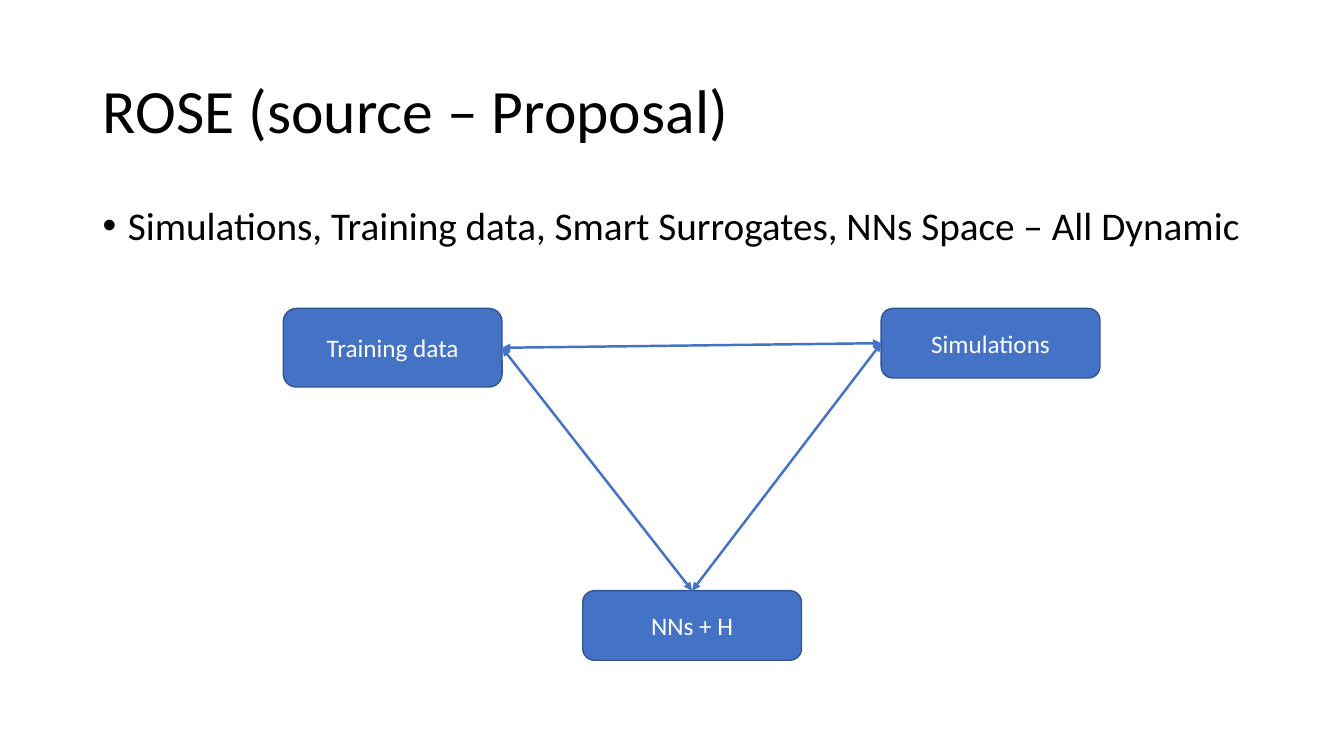
from dataclasses import dataclass

import lxml.etree
import pptx
import pptx.dml.color
import pptx.enum.shapes
import pptx.enum.text
import pptx.oxml.ns
import pptx.presentation
import pptx.shapes.autoshape
import pptx.shapes.connector
import pptx.slide
import pptx.text.text
import pptx.util

Inches = pptx.util.Inches
FONT = "Calibri"
COLORS = {"text": "000000", "box": "4472C4", "outline": "325491", "label": "FFFFFF"}
TOP, LEFT, RIGHT = 0, 1, 3
BOX_WIDTH = 2.17


@dataclass
class Box:
    label: str
    left: float
    top: float
    height: float = 0.69


@dataclass
class Link:
    start: str
    start_site: int
    end: str
    end_site: int


BOXES = [
    Box("Training data", 2.81, 3.06, 0.78),
    Box("Simulations", 8.74, 3.06),
    Box("NNs + H", 5.78, 5.86),
]
LINKS = [
    Link("Training data", RIGHT, "Simulations", LEFT),
    Link("Training data", RIGHT, "NNs + H", TOP),
    Link("Simulations", LEFT, "NNs + H", TOP),
]


def color(name: str) -> pptx.dml.color.RGBColor:
    return pptx.dml.color.RGBColor.from_string(COLORS[name])


def format_runs(paragraph: pptx.text.text._Paragraph, size: float, color_name: str) -> None:
    for run in paragraph.runs:
        run.font.name = FONT
        run.font.size = pptx.util.Pt(size)
        run.font.color.rgb = color(color_name)


def add_text(
    slide: pptx.slide.Slide, text: str, top: float, height: float, size: float,
    anchor: pptx.enum.text.MSO_ANCHOR,
) -> pptx.text.text._Paragraph:
    shape = slide.shapes.add_textbox(Inches(0.92), Inches(top), Inches(11.5), Inches(height))
    shape.text_frame.word_wrap = True
    shape.text_frame.vertical_anchor = anchor
    paragraph = shape.text_frame.paragraphs[0]
    paragraph.text = text
    paragraph.line_spacing = 0.9
    format_runs(paragraph, size, "text")
    return paragraph


def add_bullet(paragraph: pptx.text.text._Paragraph) -> None:
    paragraph.space_before = pptx.util.Pt(10)
    properties = paragraph._p.get_or_add_pPr()
    properties.set("marL", str(Inches(0.25)))
    properties.set("indent", str(Inches(-0.25)))
    lxml.etree.SubElement(properties, pptx.oxml.ns.qn("a:buFont"), typeface="Arial")
    lxml.etree.SubElement(properties, pptx.oxml.ns.qn("a:buChar"), char="•")


def add_box(slide: pptx.slide.Slide, box: Box) -> pptx.shapes.autoshape.Shape:
    shape = slide.shapes.add_shape(
        pptx.enum.shapes.MSO_SHAPE.ROUNDED_RECTANGLE,
        Inches(box.left), Inches(box.top), Inches(BOX_WIDTH), Inches(box.height),
    )
    shape.shadow.inherit = False
    shape.fill.solid()
    shape.fill.fore_color.rgb = color("box")
    shape.line.color.rgb = color("outline")
    shape.line.width = pptx.util.Pt(1)
    shape.text_frame.text = box.label
    shape.text_frame.vertical_anchor = pptx.enum.text.MSO_ANCHOR.MIDDLE
    paragraph = shape.text_frame.paragraphs[0]
    paragraph.alignment = pptx.enum.text.PP_ALIGN.CENTER
    format_runs(paragraph, 18, "label")
    return shape


def add_link(
    slide: pptx.slide.Slide, link: Link, shapes: dict[str, pptx.shapes.autoshape.Shape]
) -> pptx.shapes.connector.Connector:
    connector = slide.shapes.add_connector(
        pptx.enum.shapes.MSO_CONNECTOR.STRAIGHT, 0, 0, 0, 0
    )
    connector.begin_connect(shapes[link.start], link.start_site)
    connector.end_connect(shapes[link.end], link.end_site)
    connector.line.color.rgb = color("box")
    connector.line.width = pptx.util.Pt(1.75)
    line = connector.line._get_or_add_ln()
    for end in ("a:headEnd", "a:tailEnd"):
        lxml.etree.SubElement(line, pptx.oxml.ns.qn(end), type="triangle")
    lxml.etree.SubElement(connector._element.spPr, pptx.oxml.ns.qn("a:effectLst"))
    return connector


def main() -> None:
    presentation = pptx.Presentation()
    presentation.slide_width = Inches(13.33)
    presentation.slide_height = Inches(7.5)
    slide = presentation.slides.add_slide(presentation.slide_layouts[6])
    anchors = pptx.enum.text.MSO_ANCHOR
    add_text(slide, "ROSE (source – Proposal)", 0.4, 1.45, 44, anchors.MIDDLE)
    topics = "Simulations, Training data, Smart Surrogates, NNs Space – All Dynamic"
    add_bullet(add_text(slide, topics, 2, 4.76, 28, anchors.TOP))
    shapes = {box.label: add_box(slide, box) for box in BOXES}
    for link in LINKS:
        add_link(slide, link, shapes)
    presentation.save("out.pptx")


if __name__ == "__main__":
    main()
